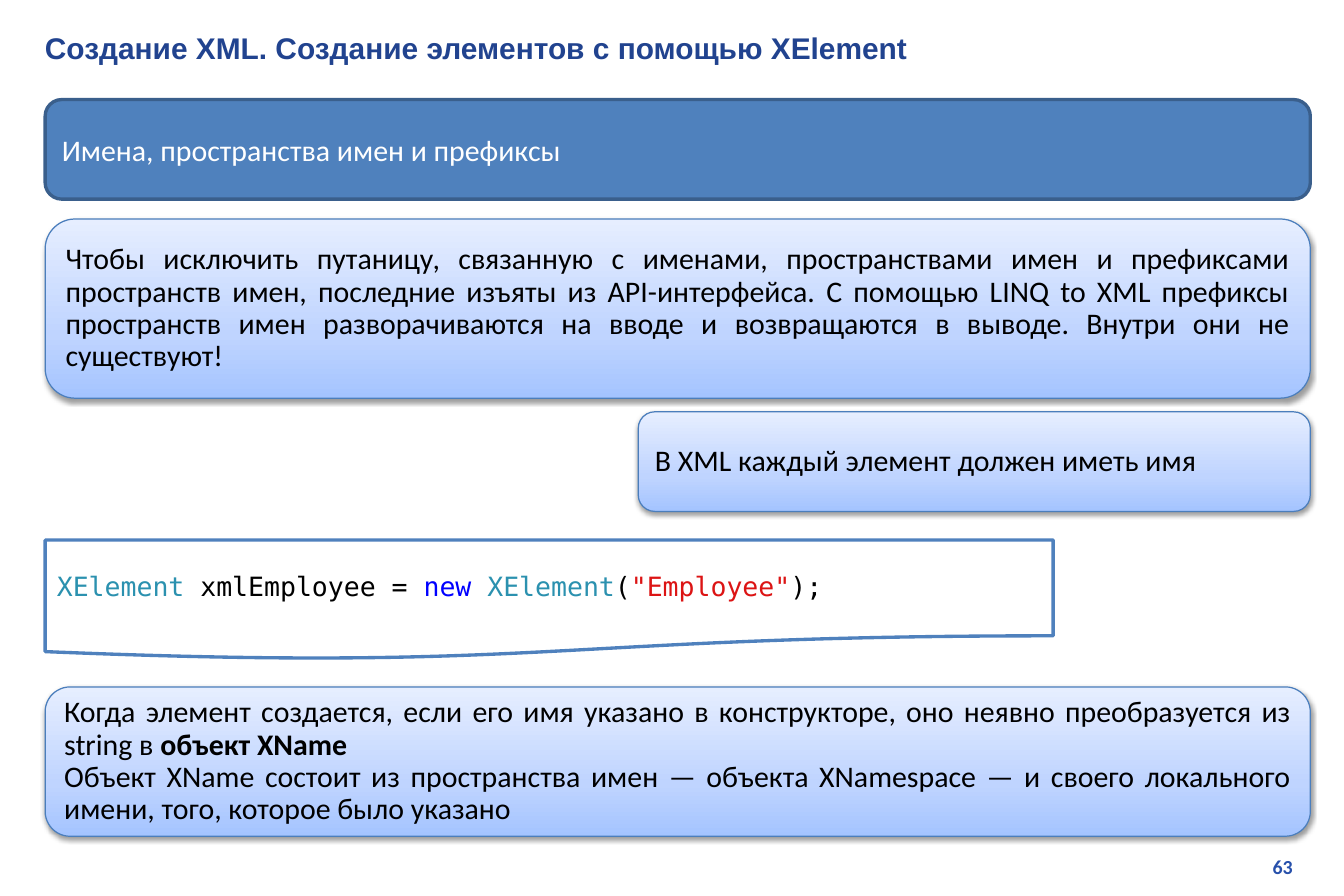
from copy import deepcopy

from lxml import etree
from pptx import Presentation
from pptx.dml.color import RGBColor
from pptx.enum import shapes, text
from pptx.oxml import ns
from pptx.util import Pt

WHITE = RGBColor(0xFF, 0xFF, 0xFF)
BLACK = RGBColor(0, 0, 0)
NAVY = RGBColor(0x21, 0x43, 0x8F)
PAGE_BLUE = RGBColor(0x27, 0x50, 0xAB)
BLUE = RGBColor(0x4F, 0x81, 0xBD)
DARK_BLUE = RGBColor(0x3A, 0x5F, 0x8C)
PANEL_LINE = RGBColor(0x4B, 0x7E, 0xBC)
PANEL_STOPS = [
    (0, RGBColor(0xA4, 0xC4, 0xFF)),
    (0.35, RGBColor(0xBF, 0xD4, 0xFF)),
    (1, RGBColor(0xE6, 0xEE, 0xFF)),
]
CODE_TYPE = RGBColor(0x2B, 0x91, 0xAF)
CODE_KEYWORD = RGBColor(0, 0, 0xFF)
CODE_STRING = RGBColor(0xDC, 0x14, 0x14)

LEFT, WIDTH = 27.2, 762.5
ROUNDED = shapes.MSO_SHAPE.ROUNDED_RECTANGLE
ALIGN = text.PP_ALIGN


def write(sp, paragraphs, font="Calibri", size=18, color=BLACK, bold=False,
          align=ALIGN.JUSTIFY, spacing=0.9):
    """Fill a shape; each paragraph is a list of (text, font overrides) runs."""
    tf = sp.text_frame
    tf.word_wrap = True
    tf.vertical_anchor = text.MSO_ANCHOR.MIDDLE
    for i, runs in enumerate(paragraphs):
        p = tf.add_paragraph() if i else tf.paragraphs[0]
        p.alignment = align
        p.line_spacing = spacing
        for words, look in runs:
            r = p.add_run()
            r.text = words
            r.font.name = font
            r.font.size = Pt(size)
            r.font.bold = look.get("bold", bold)
            r.font.color.rgb = look.get("color", color)


def add_box(kind, left, top, width, height, line, weight):
    sp = s.shapes.add_shape(kind, Pt(left), Pt(top), Pt(width), Pt(height))
    sp.shadow.inherit = False
    sp.line.color.rgb = line
    sp.line.width = Pt(weight)
    return sp


prs = Presentation()
prs.slide_width, prs.slide_height = Pt(810), Pt(540)
s = prs.slides.add_slide(prs.slide_layouts[6])

# Title and page number
title = s.shapes.add_textbox(Pt(20), Pt(14.4), Pt(773), Pt(28.8))
write(title, [[("Создание XML. Создание элементов с помощью XElement", {})]],
      font="Arial", color=NAVY, bold=True, align=ALIGN.LEFT, spacing=1)
page = s.shapes.add_textbox(Pt(615), Pt(511.2), Pt(171.2), Pt(21.6))
write(page, [[("63", {})]], size=12, color=PAGE_BLUE, bold=True,
      align=ALIGN.RIGHT, spacing=1)

# Heading bar
heading = add_box(ROUNDED, LEFT, 60, WIDTH, 60, DARK_BLUE, 2)
heading.fill.solid()
heading.fill.fore_color.rgb = BLUE
write(heading, [[("Имена, пространства имен и префиксы", {})]],
      color=WHITE, align=ALIGN.LEFT, spacing=1)

# Code sample
code = add_box(shapes.MSO_SHAPE.FLOWCHART_DOCUMENT, LEFT, 325.5, 607.5, 72, BLUE, 2)
code.fill.solid()
code.fill.fore_color.rgb = WHITE
write(code, [[
    ("XElement ", {"color": CODE_TYPE}),
    ("xmlEmployee = ", {}),
    ("new ", {"color": CODE_KEYWORD}),
    ("XElement", {"color": CODE_TYPE}),
    ("(", {}),
    ('"Employee"', {"color": CODE_STRING}),
    (");", {}),
]], font="DejaVu Sans Mono", size=16)

# Gradient panels: left, top, width, height, paragraphs
panels = [
    (LEFT, 132, WIDTH, 108, [[(
        "Чтобы исключить путаницу, связанную с именами, пространствами имен и "
        "префиксами пространств имен, последние изъяты из API-интерфейса. "
        "С помощью LINQ to XML префиксы пространств имен разворачиваются на вводе "
        "и возвращаются в выводе. Внутри они не существуют!", {})]]),
    (384.7, 248.2, 405, 60, [[("В XML каждый элемент должен иметь имя", {})]]),
    (LEFT, 414, WIDTH, 90, [
        [("Когда элемент создается, если его имя указано в конструкторе, оно "
          "неявно преобразуется из string в ", {}),
         ("объект XName", {"bold": True})],
        [("Объект XName состоит из пространства имен — объекта XNamespace — и "
          "своего локального имени, того, которое было указано", {})],
    ]),
]
for left, top, width, height, paragraphs in panels:
    sp = add_box(ROUNDED, left, top, width, height, PANEL_LINE, 0.75)
    sp.fill.gradient()
    sp.fill.gradient_angle = 90
    stop_list = sp._element.spPr.find(".//" + ns.qn("a:gsLst"))
    stop_list.append(deepcopy(stop_list[0]))
    for stop, (position, color) in zip(sp.fill.gradient_stops, PANEL_STOPS):
        stop.position = position
        stop.color.rgb = color
    effects = sp._element.spPr.find(ns.qn("a:effectLst"))
    shadow = etree.SubElement(effects, ns.qn("a:outerShdw"), blurRad=str(Pt(3.1)),
                              dist=str(Pt(1.6)), dir="5400000", rotWithShape="0")
    shade = etree.SubElement(shadow, ns.qn("a:srgbClr"), val=str(BLACK))
    etree.SubElement(shade, ns.qn("a:alpha"), val="38000")
    write(sp, paragraphs)

prs.save("out.pptx")
